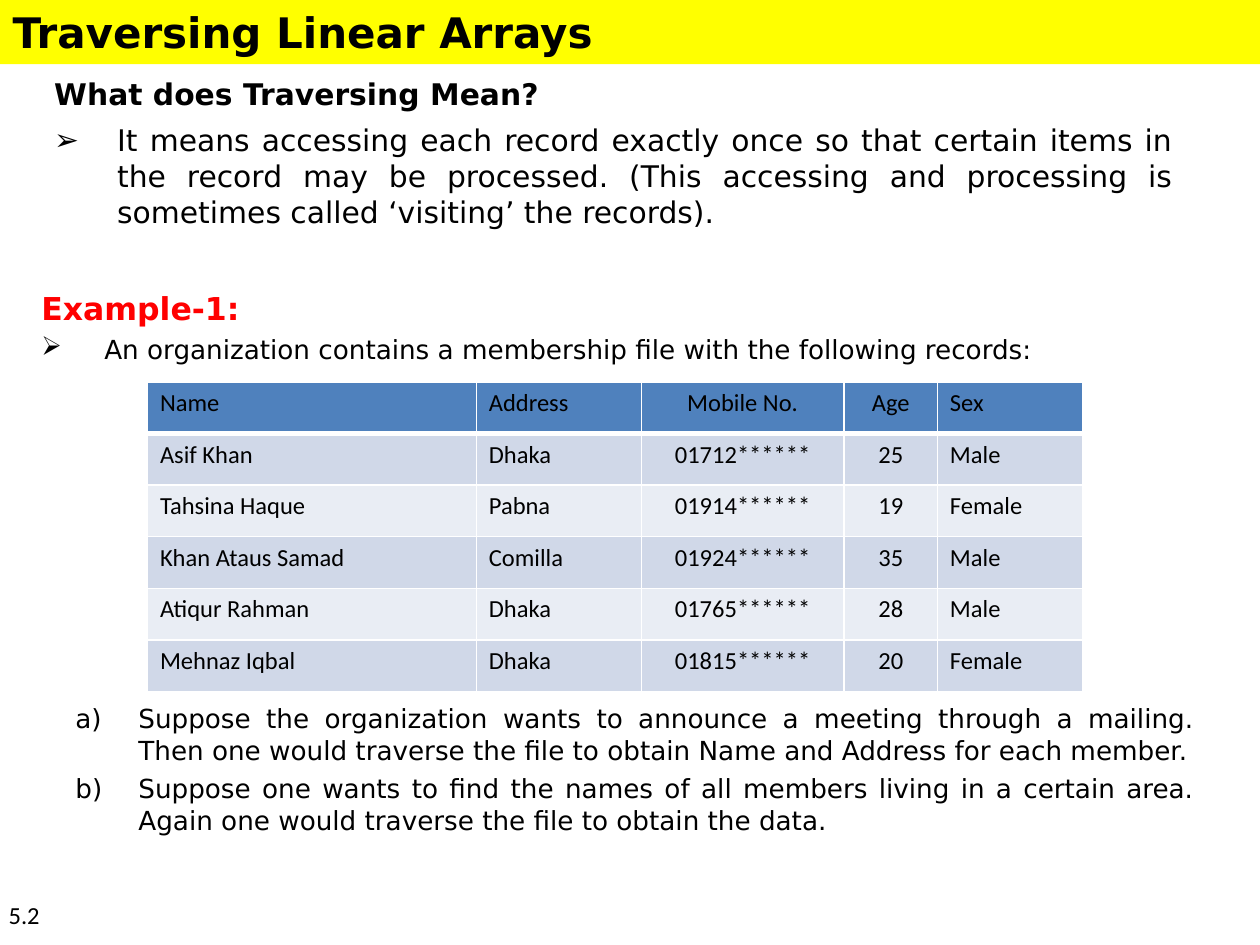
from dataclasses import dataclass

from lxml import etree
from pptx import Presentation
from pptx.dml.color import RGBColor
from pptx.enum import text
from pptx.oxml import ns
from pptx.util import Inches, Pt


@dataclass(frozen=True)
class Theme:
    text_font: str = "DejaVu Sans"
    table_font: str = "Calibri"
    black: str = "000000"
    white: str = "FFFFFF"
    red: str = "FF0000"
    banner: str = "FFFF00"
    header: str = "4F81BD"
    bands: tuple = ("D0D8E8", "E9EDF4")
    title_size: float = 24
    example_size: float = 18
    intro_size: float = 17
    list_size: float = 15
    table_size: float = 14


THEME = Theme()
ARROW = ("a:buChar", {"char": "➢"})
LETTER = ("a:buAutoNum", {"type": "alphaLcParenR"})
NO_BULLET = ("a:buNone", {})

COLUMN_WIDTHS = (2.61, 1.31, 1.61, 0.74, 1.15)
CENTRED_COLUMNS = (2, 3)
ROW_HEIGHT = 0.41
MEMBERS = (
    ("Name", "Address", "Mobile No.", "Age", "Sex"),
    ("Asif Khan", "Dhaka", "01712******", "25", "Male"),
    ("Tahsina Haque", "Pabna", "01914******", "19", "Female"),
    ("Khan Ataus Samad", "Comilla", "01924******", "35", "Male"),
    ("Atiqur Rahman", "Dhaka", "01765******", "28", "Male"),
    ("Mehnaz Iqbal", "Dhaka", "01815******", "20", "Female"),
)


def place(shape, left, top, width, height):
    shape.left, shape.top = Inches(left), Inches(top)
    shape.width, shape.height = Inches(width), Inches(height)


def style_runs(paragraph, font_name, size, color=THEME.black, bold=False):
    for run in paragraph.runs:
        run.font.name = font_name
        run.font.size = Pt(size)
        run.font.bold = bold
        run.font.color.rgb = RGBColor.from_string(color)


def set_bullet(paragraph, bullet):
    """Give the paragraph a half-inch hanging indent and its bullet."""
    tag, attributes = bullet
    properties = paragraph._p.get_or_add_pPr()
    properties.set("marL", str(Inches(0.5)))
    properties.set("indent", str(-Inches(0.5)))
    etree.SubElement(properties, ns.qn(tag), attributes)


def fill_list(shape, items, gap, anchor):
    """Write items of (wording, bullet, size, color, bold) into the shape."""
    frame = shape.text_frame
    frame.word_wrap = True
    frame.auto_size = text.MSO_AUTO_SIZE.NONE
    frame.vertical_anchor = anchor
    frame.text = "\n".join(item[0] for item in items)
    for index, (paragraph, item) in enumerate(zip(frame.paragraphs, items)):
        _, bullet, size, color, bold = item
        set_bullet(paragraph, bullet)
        paragraph.alignment = text.PP_ALIGN.JUSTIFY
        paragraph.space_before = Pt(gap if index else 0)
        paragraph.space_after = Pt(gap)
        style_runs(paragraph, THEME.text_font, size, color, bold)


def add_list(slide, box, items):
    shape = slide.shapes.add_textbox(*map(Inches, box))
    fill_list(shape, items, 2, text.MSO_ANCHOR.MIDDLE)


def set_title(slide):
    title = slide.shapes.title
    place(title, 0, 0, 10, 0.51)
    title.fill.solid()
    title.fill.fore_color.rgb = RGBColor.from_string(THEME.banner)
    frame = title.text_frame
    frame.text = "Traversing Linear Arrays"
    frame.auto_size = text.MSO_AUTO_SIZE.NONE
    frame.vertical_anchor = text.MSO_ANCHOR.TOP
    paragraph = frame.paragraphs[0]
    paragraph.alignment = text.PP_ALIGN.LEFT
    style_runs(paragraph, THEME.text_font, THEME.title_size, bold=True)


def set_borders(cell, is_header):
    properties = cell._tc.get_or_add_tcPr()
    for index, side in enumerate(("lnL", "lnR", "lnT", "lnB")):
        width = 3 if is_header and side == "lnB" else 1
        line = etree.Element(ns.qn(f"a:{side}"), {"w": str(Pt(width))})
        fill = etree.SubElement(line, ns.qn("a:solidFill"))
        etree.SubElement(fill, ns.qn("a:srgbClr"), {"val": THEME.white})
        properties.insert(index, line)


def add_member_table(slide):
    rows, columns = len(MEMBERS), len(COLUMN_WIDTHS)
    table = slide.shapes.add_table(
        rows, columns, Inches(1.17), Inches(3.03),
        Inches(sum(COLUMN_WIDTHS)), Inches(ROW_HEIGHT * rows)).table
    for column, width in zip(table.columns, COLUMN_WIDTHS):
        column.width = Inches(width)
    for row, values in enumerate(MEMBERS):
        color = THEME.bands[(row - 1) % 2] if row else THEME.header
        for column, value in enumerate(values):
            cell = table.cell(row, column)
            cell.fill.solid()
            cell.fill.fore_color.rgb = RGBColor.from_string(color)
            set_borders(cell, row == 0)
            cell.text_frame.text = value
            paragraph = cell.text_frame.paragraphs[0]
            if column in CENTRED_COLUMNS:
                paragraph.alignment = text.PP_ALIGN.CENTER
            style_runs(paragraph, THEME.table_font, THEME.table_size)


def add_page_label(slide, label):
    box = slide.shapes.add_textbox(
        Inches(-0.03), Inches(7.09), Inches(0.82), Inches(0.41))
    box.text_frame.word_wrap = True
    box.text_frame.text = label
    style_runs(box.text_frame.paragraphs[0], THEME.table_font, THEME.table_size)


def main():
    presentation = Presentation()
    presentation.slide_width, presentation.slide_height = Inches(10), Inches(7.5)
    slide = presentation.slides.add_slide(presentation.slide_layouts[1])

    set_title(slide)
    body = slide.placeholders[1]
    place(body, 0.33, 0.55, 9.08, 1.34)
    fill_list(body, (
        ("What does Traversing Mean?", NO_BULLET,
         THEME.intro_size, THEME.black, True),
        ("It means accessing each record exactly once so that certain items in "
         "the record may be processed. (This accessing and processing is "
         "sometimes called ‘visiting’ the records).", ARROW,
         THEME.intro_size, THEME.black, False),
    ), 3, text.MSO_ANCHOR.TOP)

    add_list(slide, (0.23, 2.24, 9.5, 0.71), (
        ("Example-1:", NO_BULLET, THEME.example_size, THEME.red, True),
        ("An organization contains a membership file with the following "
         "records:", ARROW, THEME.list_size, THEME.black, False),
    ))
    add_member_table(slide)
    add_list(slide, (0.5, 5.52, 9.08, 1.17), (
        ("Suppose the organization wants to announce a meeting through a "
         "mailing. Then one would traverse the file to obtain Name and Address "
         "for each member.", LETTER, THEME.list_size, THEME.black, False),
        ("Suppose one wants to find the names of all members living in a "
         "certain area. Again one would traverse the file to obtain the data.",
         LETTER, THEME.list_size, THEME.black, False),
    ))
    add_page_label(slide, "5.2")
    presentation.save("out.pptx")


if __name__ == "__main__":
    main()
